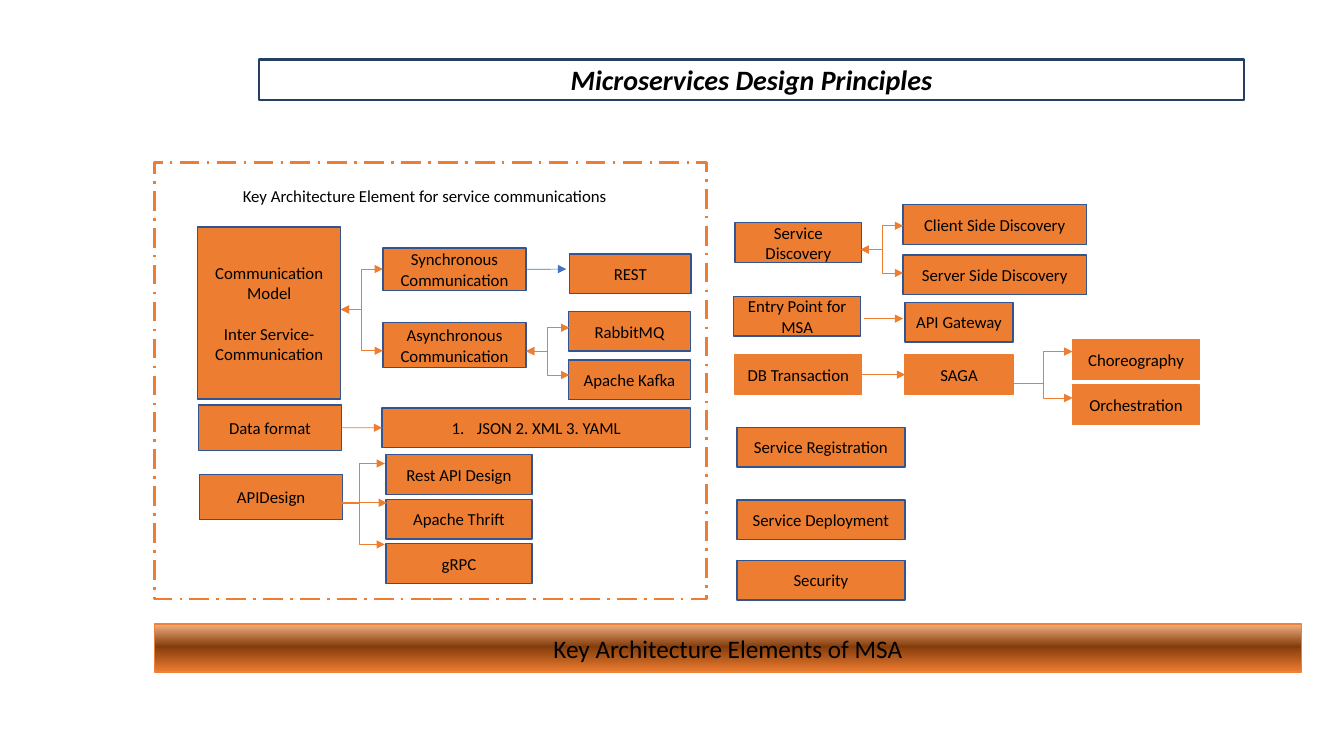
import copy

import pptx
import pptx.dml.color
import pptx.enum.dml
import pptx.enum.shapes
import pptx.enum.text
import pptx.oxml.ns
import pptx.oxml.xmlchemy
import pptx.util

Cm, Pt = pptx.util.Cm, pptx.util.Pt
RGBColor = pptx.dml.color.RGBColor
qn = pptx.oxml.ns.qn
OxmlElement = pptx.oxml.xmlchemy.OxmlElement
CONNECTOR = pptx.enum.shapes.MSO_CONNECTOR
CENTER = pptx.enum.text.PP_ALIGN.CENTER
LEFT = pptx.enum.text.PP_ALIGN.LEFT

ORANGE = RGBColor(0xED, 0x7D, 0x31)
BROWN = RGBColor(0x84, 0x3C, 0x0B)
PEACH = RGBColor(0xF4, 0xB1, 0x83)
BANNER_EDGE = RGBColor(0xEE, 0x81, 0x37)
BLUE_EDGE = RGBColor(0x32, 0x54, 0x91)
NAVY = RGBColor(0x24, 0x3F, 0x60)
BLUE = RGBColor(0x44, 0x72, 0xC4)
WHITE = RGBColor(0xFF, 0xFF, 0xFF)
BLACK = RGBColor(0, 0, 0)

ROW = 1.0  # height of a standard box, cm
LEFT_SIDE, RIGHT_SIDE = 1, 3  # connection sites of a rectangle


def write(tf, text, size=12, bold=False, italic=False, align=CENTER, gap=0, numbered=False):
    """Fill a text frame, one paragraph per line of text."""
    tf.word_wrap = True
    for i, line in enumerate(text.split("\n")):
        p = tf.paragraphs[0] if i == 0 else tf.add_paragraph()
        p.alignment = align
        if i and gap:
            p.space_before = Pt(gap)
        if numbered:
            pPr = p._p.get_or_add_pPr()
            pPr.set("marL", str(Cm(0.64)))
            pPr.set("indent", str(-Cm(0.64)))
            bu = OxmlElement("a:buAutoNum")
            bu.set("type", "arabicPeriod")
            pPr.append(bu)
        r = p.add_run()
        r.text = line
        r.font.name, r.font.size = "Calibri", Pt(size)
        r.font.bold, r.font.italic = bold, italic
        r.font.color.rgb = BLACK


class Diagram:
    def __init__(self, slide):
        self.shapes = slide.shapes

    def box(self, x, y, w, h=ROW, text="", fill=ORANGE, edge=BLUE_EDGE, weight=1, **style):
        sp = self.shapes.add_shape(pptx.enum.shapes.MSO_SHAPE.RECTANGLE,
                                   Cm(x), Cm(y), Cm(w), Cm(h))
        sp.shadow.inherit = False
        sp.fill.solid()
        sp.fill.fore_color.rgb = fill
        sp.line.color.rgb = edge
        sp.line.width = Pt(weight)
        if text:
            sp.text_frame.vertical_anchor = pptx.enum.text.MSO_ANCHOR.MIDDLE
            write(sp.text_frame, text, **style)
        return sp

    def label(self, x, y, w, h, text, **style):
        sp = self.shapes.add_textbox(Cm(x), Cm(y), Cm(w), Cm(h))
        write(sp.text_frame, text, **style)

    def gradient(self, sp, stops, angle):
        sp.fill.gradient()
        sp.fill.gradient_angle = angle
        gs_list = sp._element.spPr.find(".//" + qn("a:gsLst"))
        while len(gs_list) < len(stops):
            gs_list.append(copy.deepcopy(gs_list[-1]))
        for stop, (position, color) in zip(sp.fill.gradient_stops, stops):
            stop.position = position
            stop.color.rgb = color

    def arrow(self, x1, y1, x2, y2, kind=CONNECTOR.STRAIGHT, color=ORANGE,
              both=False, start=None, end=None):
        c = self.shapes.add_connector(kind, Cm(x1), Cm(y1), Cm(x2), Cm(y2))
        if start is not None:
            c.begin_connect(start, RIGHT_SIDE)
        if end is not None:
            c.end_connect(end, LEFT_SIDE)
        c.line.color.rgb = color
        c.line.width = Pt(0.5)
        ln = c._element.spPr.find(qn("a:ln"))
        for tag in ("a:headEnd", "a:tailEnd") if both else ("a:tailEnd",):
            tip = OxmlElement(tag)
            tip.set("type", "triangle")
            ln.append(tip)
        c._element.spPr.append(OxmlElement("a:effectLst"))

    def fork(self, x1, y1, x2, ends, both=True):
        for y2 in ends:
            self.arrow(x1, y1, x2, y2, kind=CONNECTOR.ELBOW, both=both)


def main():
    prs = pptx.Presentation()
    prs.slide_width, prs.slide_height = Cm(33.87), Cm(19.05)
    d = Diagram(prs.slides.add_slide(prs.slide_layouts[6]))

    # Banner, title and frame
    banner = d.box(3.89, 15.72, 28.91, 1.22, "Key Architecture Elements of MSA",
                   edge=BANNER_EDGE, size=18)
    d.gradient(banner, [(0, ORANGE), (0.53, BROWN), (1, PEACH)], angle=90)
    d.box(6.53, 1.5, 24.82, 1.02, "Microservices Design Principles",
          fill=WHITE, edge=NAVY, weight=2, size=20, bold=True, italic=True)
    frame = d.box(3.89, 4.09, 13.92, 11, fill=WHITE, edge=ORANGE, weight=1.75)
    frame.line.dash_style = pptx.enum.dml.MSO_LINE.LONG_DASH_DOT
    d.label(5.87, 4.55, 10.69, 0.76, "Key Architecture Element for service communications",
            align=LEFT)

    # Communication model
    d.box(4.98, 5.72, 3.61, 4.34, "Communication Model\nInter Service- Communication", gap=14.6)
    sync = d.box(9.65, 6.25, 3.61, 1.07, "Synchronous Communication")
    d.box(9.65, 8.13, 3.61, 1.14, "Asynchronous Communication")
    d.box(14.35, 6.4, 3.07, text="REST")
    for y, broker in ((7.85, "RabbitMQ"), (9.07, "Apache Kafka")):
        d.box(14.33, y, 3.07, text=broker)
    d.fork(8.59, 7.8, 9.65, (8.84, 6.78))
    d.fork(13.26, 8.85, 14.35, (9.45, 8.26))
    d.arrow(13.26, 6.78, 14.27, 6.78, color=BLUE, start=sync)

    # Data format
    data = d.box(5, 10.21, 3.61, 1.14, "Data format")
    formats = d.box(9.63, 10.28, 7.77, text="JSON 2. XML 3. YAML", numbered=True)
    d.arrow(8.61, 10.78, 9.63, 10.78, start=data, end=formats)

    # API design
    d.box(5.03, 11.96, 3.61, 1.14, "APIDesign")
    for i, api in enumerate(("Rest API Design", "Apache Thrift", "gRPC")):
        d.box(9.73, 11.46 + 1.12 * i, 3.68, text=api)
    d.arrow(8.51, 12.67, 9.75, 12.67)
    d.fork(8.41, 12.69, 9.7, (13.72, 11.68))

    # Service discovery
    d.box(18.52, 5.61, 3.2, text="Service Discovery")
    for y, side in ((5.16, "Client"), (6.43, "Server")):
        d.box(22.76, y, 4.62, text=side + " Side Discovery")
    d.fork(21.69, 6.29, 22.76, (6.88, 5.69))

    # Entry point
    d.box(18.49, 7.47, 3.2, text="Entry Point for MSA")
    d.box(22.81, 7.62, 2.72, text="API Gateway")
    d.arrow(21.77, 8.03, 22.76, 8.03)

    # Database transaction
    db = d.box(18.52, 8.94, 3.2, text="DB Transaction", edge=ORANGE)
    saga = d.box(22.81, 8.94, 2.72, text="SAGA", edge=ORANGE)
    for y, pattern in ((8.56, "Choreography"), (9.7, "Orchestration")):
        d.box(27.03, y, 3.2, text=pattern, edge=ORANGE)
    d.arrow(21.72, 9.44, 22.81, 9.44, start=db, end=saga)
    d.fork(25.55, 9.65, 27.03, (8.86, 10.03), both=False)

    # Remaining elements
    for y, text in ((10.77, "Service Registration"), (12.6, "Service Deployment"),
                    (14.12, "Security")):
        d.box(18.57, y, 4.24, text=text)

    prs.save("out.pptx")


if __name__ == "__main__":
    main()
